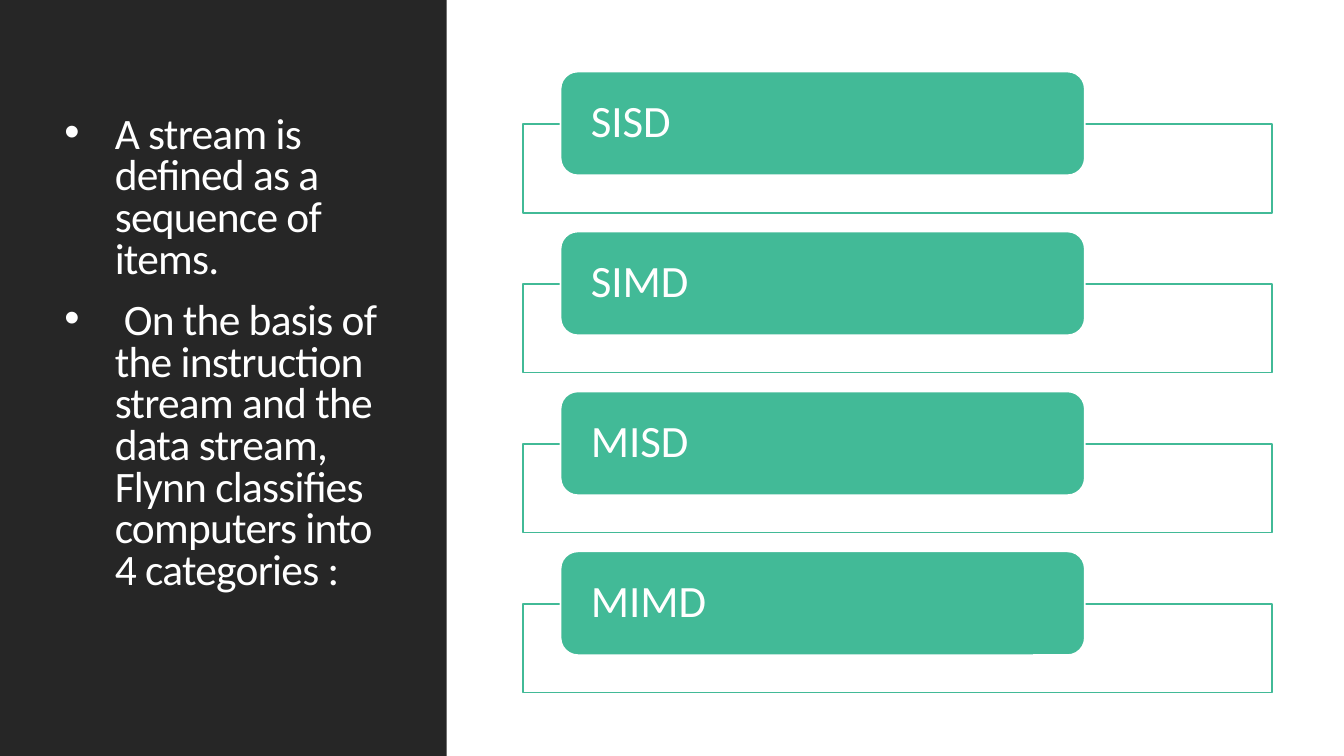
from dataclasses import dataclass

from lxml.etree import SubElement
from pptx import Presentation
from pptx.dml.color import RGBColor as RGB
from pptx.enum.shapes import MSO_SHAPE as Kind
from pptx.enum.text import MSO_ANCHOR as Anchor, PP_ALIGN as Align
from pptx.oxml.ns import qn
from pptx.util import Inches, Pt


@dataclass(frozen=True)
class Theme:
    dark: RGB = RGB(0x26, 0x26, 0x26)
    green: RGB = RGB(0x42, 0xBA, 0x97)
    white: RGB = RGB(0xFF, 0xFF, 0xFF)
    font: str = "Calibri"
    body: float = 31
    label: float = 32
    line: float = 1.25


THEME = Theme()
POINTS = (
    "A stream is defined as a sequence of items.",
    " On the basis of the instruction stream and the data stream, "
    "Flynn classifies computers into 4 categories :",
)
CLASSES = ("SISD", "SIMD", "MISD", "MIMD")
TOP = 0.71
PITCH = 4.76 / 3


def add_box(slide, kind, left, top, width, height, fill, line=None):
    box = slide.shapes.add_shape(
        kind, Inches(left), Inches(top), Inches(width), Inches(height))
    box.shadow.inherit = False
    box.fill.solid()
    box.fill.fore_color.rgb = fill
    if line is None:
        box.line.fill.background()
    else:
        box.line.color.rgb = line
        box.line.width = Pt(THEME.line)
    return box


def set_font(para, size):
    para.font.name = THEME.font
    para.font.size = Pt(size)
    para.font.color.rgb = THEME.white


def add_bullet(para):
    props = para._p.get_or_add_pPr()
    props.set("marL", str(Inches(0.5)))
    props.set("indent", str(-Inches(0.5)))
    SubElement(props, qn("a:buFont"), typeface="Arial")
    SubElement(props, qn("a:buChar"), char="•")


def add_points(slide):
    box = slide.shapes.add_textbox(
        Inches(0.54), Inches(0.57), Inches(3.37), Inches(5.9))
    frame = box.text_frame
    frame.word_wrap = True
    frame.vertical_anchor = Anchor.MIDDLE
    for index, text in enumerate(POINTS):
        para = frame.add_paragraph() if index else frame.paragraphs[0]
        run = para.add_run()
        run.text = text
        run.font._element.set("spc", "-50")
        para.line_spacing = 0.8
        para.space_before = Pt(12)
        para.space_after = Pt(2)
        add_bullet(para)
        set_font(para, THEME.body)


def add_class(slide, name, top):
    add_box(slide, Kind.RECTANGLE, 5.19, top + 0.52, 7.43, 0.88,
            THEME.white, THEME.green)
    card = add_box(slide, Kind.ROUNDED_RECTANGLE, 5.56, top, 5.2, 1.03,
                   THEME.green, THEME.white)
    frame = card.text_frame
    frame.margin_left = frame.margin_right = Inches(0.25)
    frame.margin_top = frame.margin_bottom = 0
    frame.vertical_anchor = Anchor.MIDDLE
    para = frame.paragraphs[0]
    para.text = name
    para.alignment = Align.LEFT
    para.line_spacing = 0.9
    set_font(para, THEME.label)


def main():
    deck = Presentation()
    deck.slide_width = Inches(13.33)
    deck.slide_height = Inches(7.5)
    slide = deck.slides.add_slide(deck.slide_layouts[6])
    add_box(slide, Kind.RECTANGLE, 0, 0, 4.43, 7.5, THEME.dark)
    add_points(slide)
    for row, name in enumerate(CLASSES):
        add_class(slide, name, TOP + row * PITCH)
    deck.save("out.pptx")


if __name__ == "__main__":
    main()
